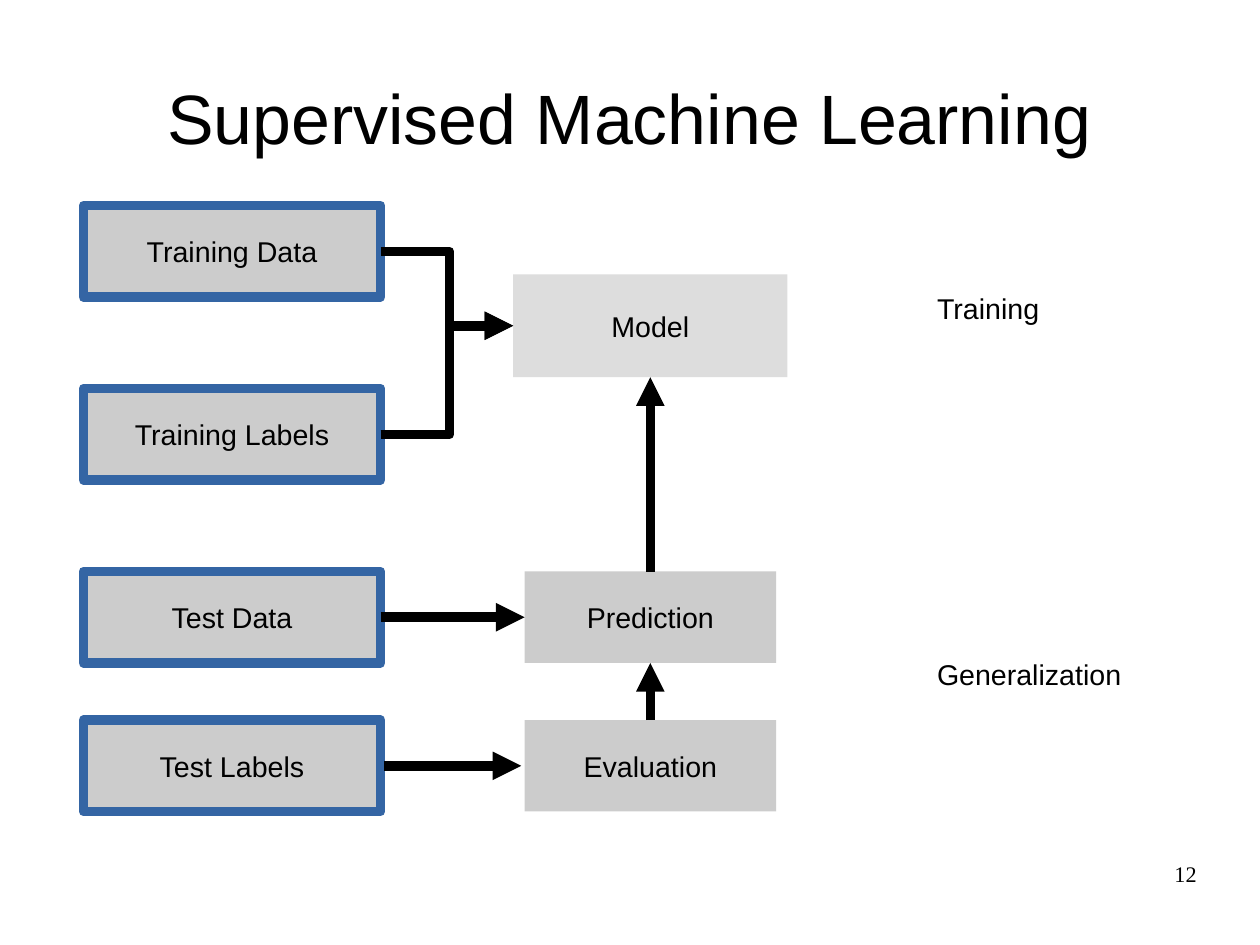
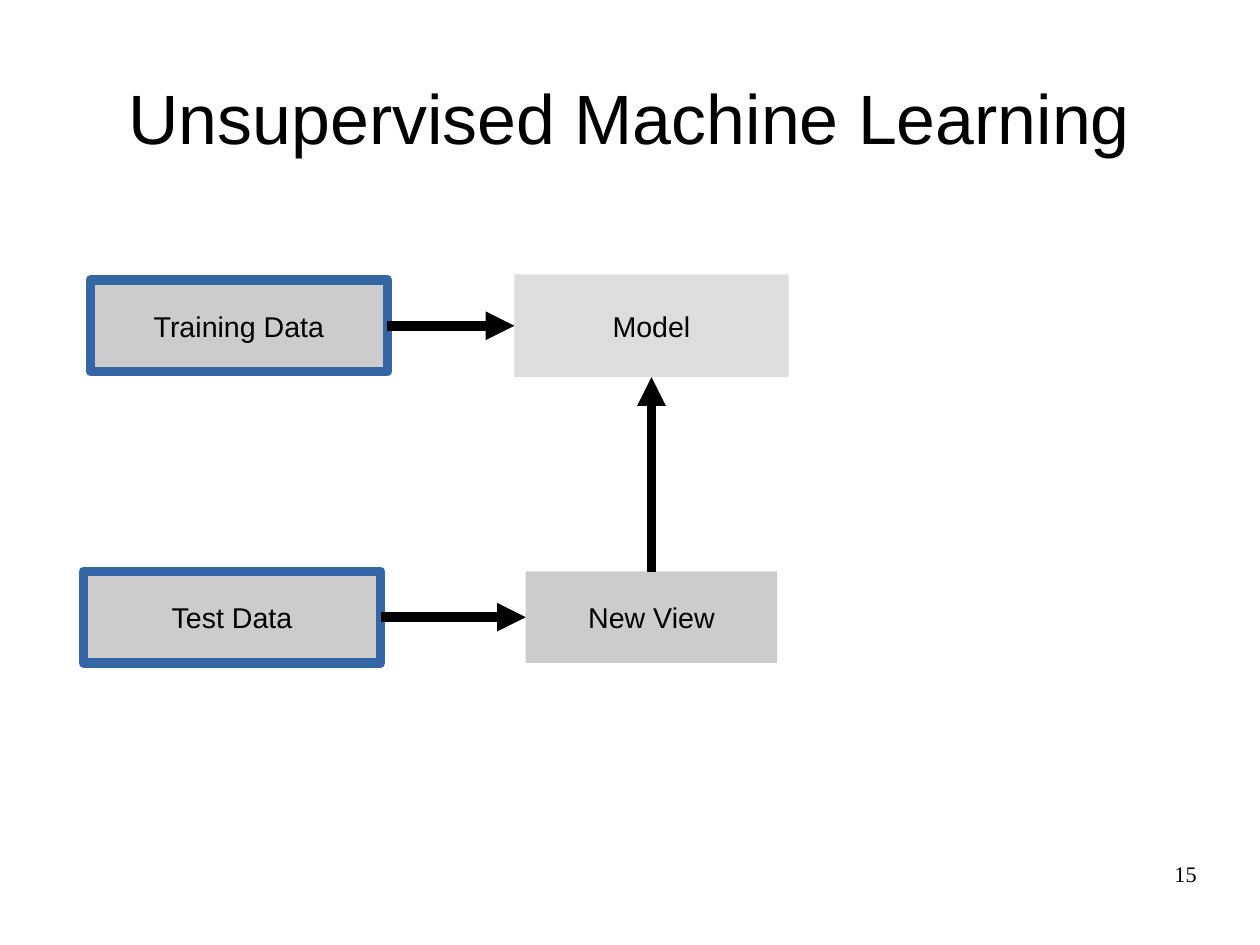
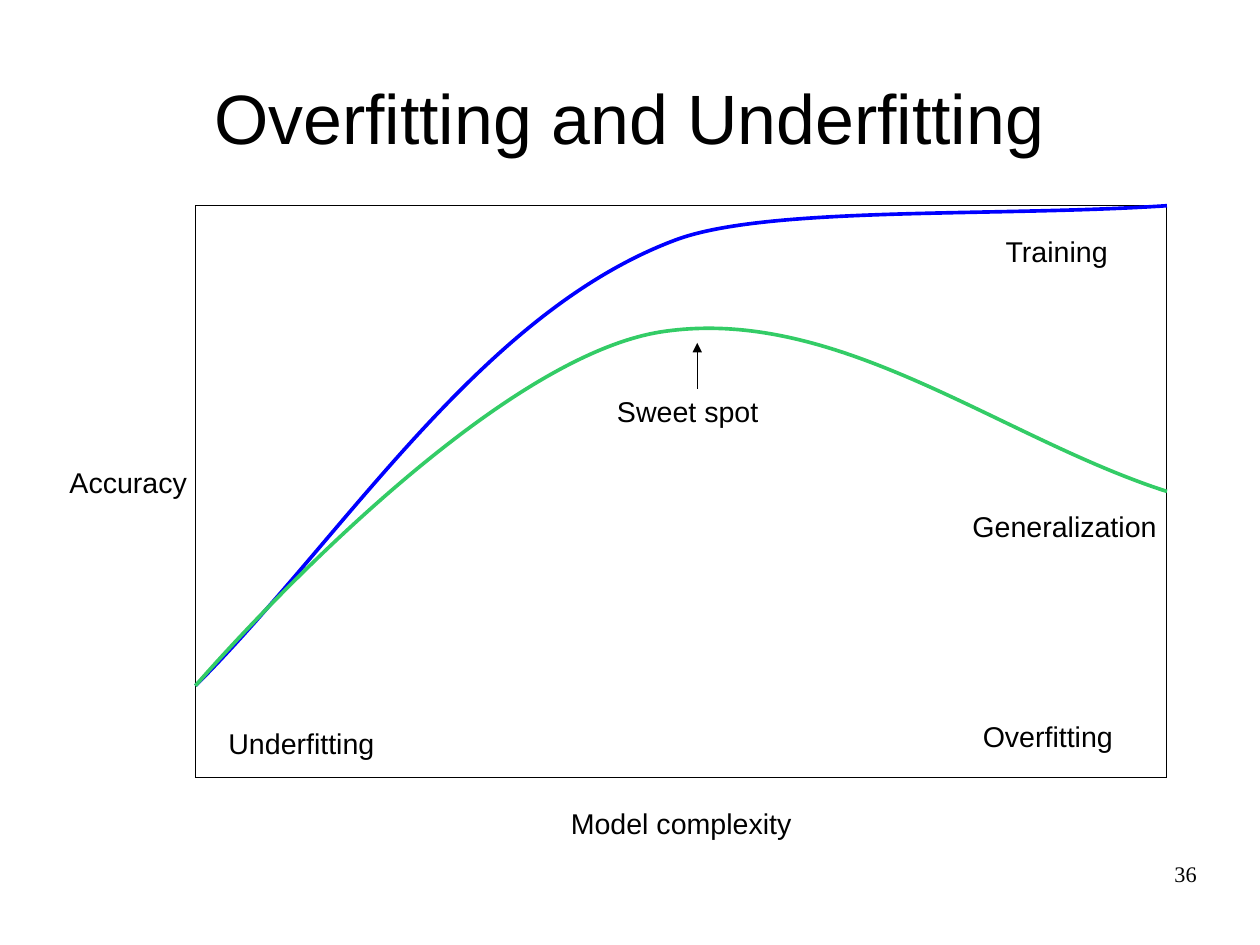
"""Build three slides on supervised learning, unsupervised learning and overfitting."""

from dataclasses import dataclass
from typing import Any

import lxml.etree
import pptx
import pptx.dml.color
import pptx.enum.shapes
import pptx.enum.text
import pptx.oxml.ns
import pptx.slide
import pptx.util

Inches = pptx.util.Inches
Align = pptx.enum.text.PP_ALIGN
Anchor = pptx.enum.text.MSO_ANCHOR
Connector = pptx.enum.shapes.MSO_CONNECTOR
qn = pptx.oxml.ns.qn

COLORS = {
    "text": "000000",
    "box": "CCCCCC",
    "model": "DDDDDD",
    "border": "3465A4",
    "training": "0000FF",
    "generalization": "33CC66",
}
BODY_FONT = {"name": "Arial", "size": pptx.util.Pt(18)}
TITLE_FONT = {"name": "Arial", "size": pptx.util.Pt(44)}
NUMBER_FONT = {"name": "Times New Roman", "size": pptx.util.Pt(14)}
LABEL_FRAME = {
    "word_wrap": True,
    "vertical_anchor": Anchor.TOP,
    "margin_left": Inches(0.1),
    "margin_right": Inches(0.1),
    "margin_top": Inches(0.05),
    "margin_bottom": Inches(0.05),
}
BLOCK_FRAME = LABEL_FRAME | {"word_wrap": False, "vertical_anchor": Anchor.MIDDLE}
NUMBER_FRAME = LABEL_FRAME | {
    f"margin_{side}": 0 for side in ("left", "right", "top", "bottom")
}
TITLE_FRAME = NUMBER_FRAME | {"vertical_anchor": Anchor.MIDDLE}

CENTIMETRES_PER_INCH = 2.54
SLIDE_WIDTH = 28 / CENTIMETRES_PER_INCH
SLIDE_HEIGHT = 21 / CENTIMETRES_PER_INCH
TOP, LEFT, BOTTOM, RIGHT = range(4)
THICK, HAIRLINE = 6, 0
INPUT_LEFT = 0.73
PLOT_LEFT, PLOT_TOP, PLOT_WIDTH, PLOT_HEIGHT = 1.71, 1.8, 8.5, 5
PLOT_RIGHT = PLOT_LEFT + PLOT_WIDTH


@dataclass(frozen=True)
class Block:
    """A labelled rectangle of a flow diagram."""

    text: str
    left: float
    top: float
    width: float = 2.2
    height: float = 0.8
    fill: str = "box"
    border: bool = False


@dataclass(frozen=True)
class Arrow:
    """An arrow between the sides of two named blocks."""

    start: str
    end: str
    start_side: int = RIGHT
    end_side: int = LEFT
    bend: float | None = None


@dataclass(frozen=True)
class Label:
    """A free line of text."""

    text: str
    left: float
    top: float
    width: float
    align: Any = Align.LEFT


@dataclass(frozen=True)
class Curve:
    """A chain of cubic curves: a start and three points for each piece."""

    color: str
    points: tuple[tuple[float, float], ...]


def input_block(text: str, top: float, left: float = INPUT_LEFT) -> Block:
    """Describe a bordered block that holds input data."""
    return Block(text, left, top, width=2.6, border=True)


def model_block(left: float) -> Block:
    """Describe the block of the model."""
    return Block("Model", left, 2.4, 2.4, 0.9, "model")


def rgb(color: str) -> pptx.dml.color.RGBColor:
    """Return a named colour."""
    return pptx.dml.color.RGBColor.from_string(COLORS[color])


def apply(target: Any, values: dict[str, Any]) -> None:
    """Set each format value on the target."""
    for name, value in values.items():
        setattr(target, name, value)


def write(shape: Any, text: str, frame: dict, font: dict, align: Any) -> None:
    """Put one formatted paragraph into a shape."""
    apply(shape.text_frame, frame)
    paragraph = shape.text_frame.paragraphs[0]
    paragraph.text = text
    paragraph.alignment = align
    apply(paragraph.font, font)
    paragraph.font.color.rgb = rgb("text")


def add_text(
    slide: pptx.slide.Slide,
    box: tuple[float, float, float, float],
    text: str,
    frame: dict,
    font: dict,
    align: Any,
) -> None:
    """Add a text box at left, top, width and height."""
    shape = slide.shapes.add_textbox(*map(Inches, box))
    write(shape, text, frame, font, align)


def style_line(shape: Any, color: str, width: float, arrow: bool = False) -> None:
    """Set colour, width (zero included), round joins and an optional arrowhead."""
    shape.line.color.rgb = rgb(color)
    outline = shape._element.spPr.find(qn("a:ln"))
    outline.set("w", str(int(pptx.util.Pt(width))))
    lxml.etree.SubElement(outline, qn("a:round"))
    if arrow:
        lxml.etree.SubElement(outline, qn("a:tailEnd"), type="triangle")


def style_arrow(connector: Any, width: float) -> None:
    """Give a connector an arrowhead and no shadow."""
    style_line(connector, "text", width, arrow=True)
    lxml.etree.SubElement(connector._element.spPr, qn("a:effectLst"))


def add_rectangle(
    slide: pptx.slide.Slide, left: float, top: float, width: float, height: float
) -> Any:
    """Add a rectangle without a shadow."""
    shape = slide.shapes.add_shape(
        pptx.enum.shapes.MSO_SHAPE.RECTANGLE,
        *map(Inches, (left, top, width, height)),
    )
    shape.shadow.inherit = False
    return shape


def add_block(slide: pptx.slide.Slide, block: Block) -> Any:
    """Draw a block and return its shape."""
    shape = add_rectangle(slide, block.left, block.top, block.width, block.height)
    shape.fill.solid()
    shape.fill.fore_color.rgb = rgb(block.fill)
    if block.border:
        style_line(shape, "border", THICK)
    else:
        shape.line.fill.background()
    write(shape, block.text, BLOCK_FRAME, BODY_FONT, Align.CENTER)
    return shape


def add_arrow(slide: pptx.slide.Slide, arrow: Arrow, shapes: dict[str, Any]) -> None:
    """Join two blocks with a straight or bent arrow."""
    kind = Connector.STRAIGHT if arrow.bend is None else Connector.ELBOW
    connector = slide.shapes.add_connector(kind, 0, 0, 0, 0)
    connector.begin_connect(shapes[arrow.start], arrow.start_side)
    connector.end_connect(shapes[arrow.end], arrow.end_side)
    if arrow.bend is not None:
        adjustments = connector._element.spPr.find(".//" + qn("a:avLst"))
        value = f"val {round(arrow.bend * 100000)}"
        lxml.etree.SubElement(adjustments, qn("a:gd"), name="adj1", fmla=value)
    style_arrow(connector, THICK)


def add_free_arrow(
    slide: pptx.slide.Slide,
    start: tuple[float, float],
    end: tuple[float, float],
    width: float,
) -> None:
    """Draw a straight arrow that touches no block."""
    connector = slide.shapes.add_connector(
        Connector.STRAIGHT, *map(Inches, start + end)
    )
    style_arrow(connector, width)


def add_label(slide: pptx.slide.Slide, label: Label) -> None:
    """Draw a free label."""
    box = (label.left, label.top, label.width, 0.38)
    add_text(slide, box, label.text, LABEL_FRAME, BODY_FONT, label.align)


def add_curve(slide: pptx.slide.Slide, curve: Curve) -> None:
    """Draw an open outline and turn each three points into a cubic curve."""
    start, *rest = [(Inches(x), Inches(y)) for x, y in curve.points]
    builder = slide.shapes.build_freeform(*start)
    builder.add_line_segments(rest, close=False)
    shape = builder.convert_to_shape()
    shape.shadow.inherit = False
    shape.fill.background()
    outline = shape._element.spPr.find(".//" + qn("a:path"))
    segments = outline.findall(qn("a:lnTo"))
    for first in range(0, len(segments), 3):
        cubic = lxml.etree.SubElement(outline, qn("a:cubicBezTo"))
        for segment in segments[first:first + 3]:
            cubic.append(segment[0])
            outline.remove(segment)
    style_line(shape, curve.color, 2.3)


def add_slide(presentation: Any, title: str, number: int) -> pptx.slide.Slide:
    """Add a blank slide with its title and number."""
    slide = presentation.slides.add_slide(presentation.slide_layouts[6])
    add_text(slide, (0.55, 0.33, 9.92, 1.38), title,
             TITLE_FRAME, TITLE_FONT, Align.CENTER)
    add_text(slide, (7.9, 7.53, 2.57, 0.57), str(number),
             NUMBER_FRAME, NUMBER_FONT, Align.RIGHT)
    return slide


def add_flow(
    slide: pptx.slide.Slide, blocks: list[Block], arrows: list[Arrow]
) -> None:
    """Draw the blocks of a flow diagram and the arrows between them."""
    shapes = {block.text: add_block(slide, block) for block in blocks}
    for arrow in arrows:
        add_arrow(slide, arrow, shapes)


def build_supervised(presentation: Any) -> None:
    """Build the slide on supervised learning."""
    slide = add_slide(presentation, "Supervised Machine Learning", 12)
    blocks = [
        input_block("Training Data", 1.8),
        input_block("Training Labels", 3.4),
        input_block("Test Data", 5),
        input_block("Test Labels", 6.3),
        model_block(4.49),
        Block("Prediction", 4.59, 5),
        Block("Evaluation", 4.59, 6.3),
    ]
    arrows = [
        Arrow("Training Data", "Model", bend=0.52),
        Arrow("Training Labels", "Model", bend=0.52),
        Arrow("Test Data", "Prediction"),
        Arrow("Prediction", "Model", TOP, BOTTOM),
        Arrow("Evaluation", "Prediction", TOP, BOTTOM),
    ]
    add_flow(slide, blocks, arrows)
    add_free_arrow(slide, (3.36, 6.7), (4.56, 6.7), THICK)
    add_label(slide, Label("Training", 8.1, 2.5, 1.2))
    add_label(slide, Label("Generalization", 8.1, 5.7, 2.1))


def build_unsupervised(presentation: Any) -> None:
    """Build the slide on unsupervised learning."""
    slide = add_slide(presentation, "Unsupervised Machine Learning", 15)
    blocks = [
        input_block("Training Data", 2.45, left=0.79),
        input_block("Test Data", 5),
        model_block(4.5),
        Block("New View", 4.6, 5),
    ]
    arrows = [
        Arrow("Training Data", "Model"),
        Arrow("Test Data", "New View"),
        Arrow("New View", "Model", TOP, BOTTOM),
    ]
    add_flow(slide, blocks, arrows)


def build_fitting(presentation: Any) -> None:
    """Build the slide on accuracy against model complexity."""
    slide = add_slide(presentation, "Overfitting and Underfitting", 36)
    plot = add_rectangle(slide, PLOT_LEFT, PLOT_TOP, PLOT_WIDTH, PLOT_HEIGHT)
    plot.fill.background()
    style_line(plot, "text", HAIRLINE)
    origin = (PLOT_LEFT, 6)
    curves = [
        Curve("training", (
            origin, (3.01, 4.7), (4.2, 2.74), (5.91, 2.1),
            (6.71, 1.8), (8.71, 1.9), (PLOT_RIGHT, PLOT_TOP),
        )),
        Curve("generalization", (
            origin, origin, (4.18, 3.13), (5.81, 2.9),
            (7.34, 2.68), (8.75, 3.83), (PLOT_RIGHT, 4.3),
        )),
    ]
    for curve in curves:
        add_curve(slide, curve)
    labels = [
        Label("Model complexity", 4.31, 7, 3.3, Align.CENTER),
        Label("Accuracy", 0.51, 4.02, 2.1),
        Label("Training", 8.7, 2, 1.4),
        Label("Generalization", 8.41, 4.4, 1.9),
        Label("Underfitting", 1.9, 6.3, 1.6),
        Label("Overfitting", 8.5, 6.24, 1.5),
        Label("Sweet spot", 5.3, 3.4, 1.8),
    ]
    for label in labels:
        add_label(slide, label)
    add_free_arrow(slide, (6.1, 3.4), (6.1, 3), HAIRLINE)


def main() -> None:
    """Build and save the presentation."""
    presentation = pptx.Presentation()
    presentation.slide_width = Inches(SLIDE_WIDTH)
    presentation.slide_height = Inches(SLIDE_HEIGHT)
    build_supervised(presentation)
    build_unsupervised(presentation)
    build_fitting(presentation)
    presentation.save("out.pptx")


if __name__ == "__main__":
    main()
